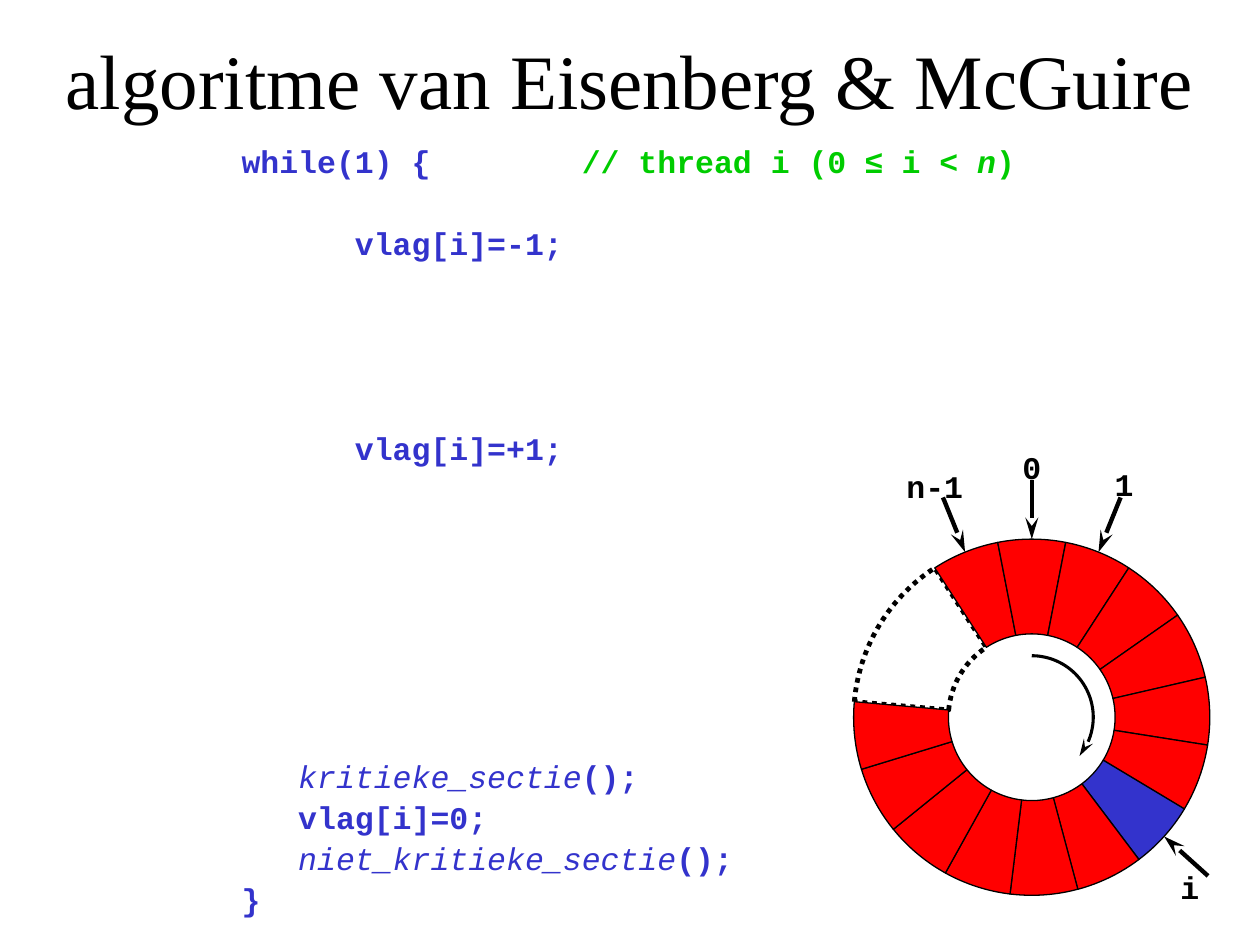
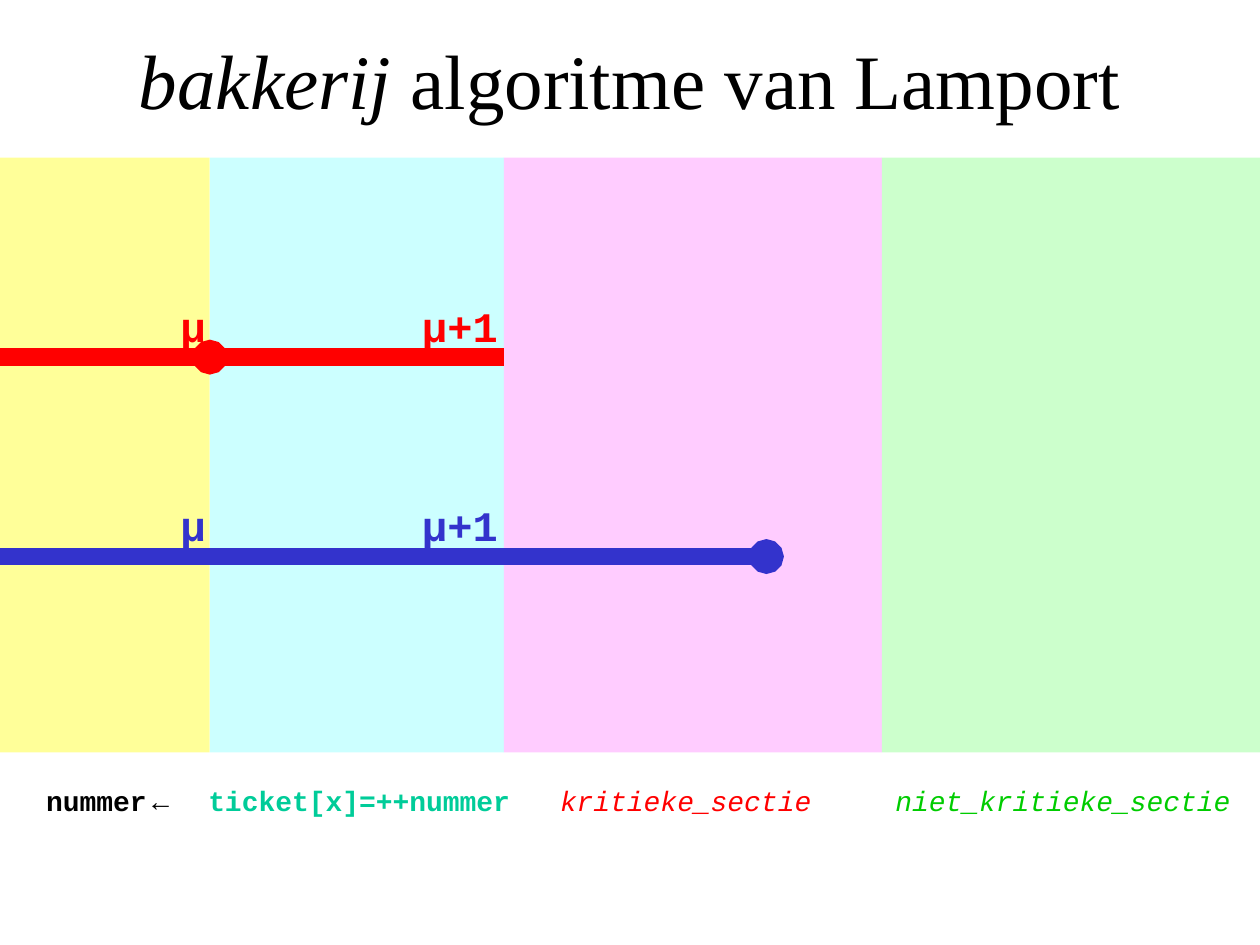
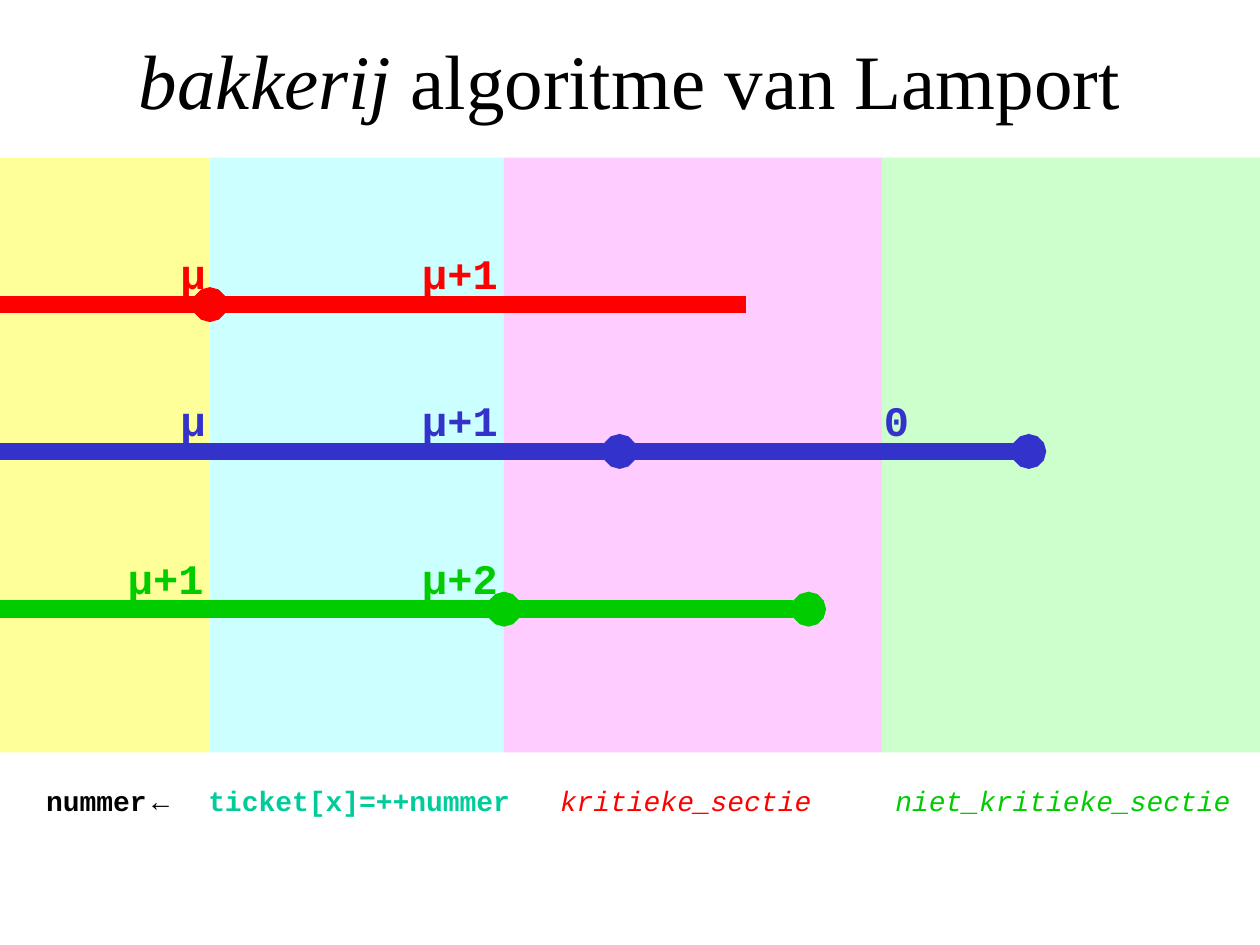
from dataclasses import dataclass
from itertools import pairwise
from math import cos, radians, sin

from lxml.etree import SubElement
from pptx import Presentation
from pptx.dml.color import RGBColor
from pptx.enum.dml import MSO_LINE
from pptx.enum.shapes import MSO_CONNECTOR, MSO_SHAPE
from pptx.enum.text import MSO_ANCHOR, MSO_AUTO_SIZE, PP_ALIGN
from pptx.oxml.ns import qn
from pptx.util import Cm, Pt


@dataclass(frozen=True)
class Theme:
    black: str = "000000"
    blue: str = "3333CC"
    red: str = "FF0000"
    green: str = "00CC00"
    teal: str = "00CC99"
    bands: tuple = ("FFFF99", "CCFFFF", "FFCCFF", "CCFFCC")
    serif: str = "Times New Roman"
    mono: str = "Courier New"
    sans: str = "Arial"
    title_size: float = 44
    track_size: float = 24
    code_size: float = 18
    legend_size: float = 16
    code_gap: float = 1.8
    code_pitch: float = 23.43


THEME = Theme()
BOLD = {"bold": True}
ITALIC = {"bold": False, "italic": True}
ARROW = {"type": "stealth", "w": "med", "len": "lg"}
DOT = {"type": "oval", "w": "sm", "len": "sm"}


# Shared helpers
def apply(target, values):
    for key, value in values.items():
        setattr(target, key, value)


def rgb(colour):
    return RGBColor.from_string(colour)


def write(paragraph, runs, size, font=THEME.mono):
    """Add runs given as (text, colour, font values)."""
    for text, colour, values in runs:
        run = paragraph.add_run()
        run.text = text
        apply(run.font, {"name": font, "size": Pt(size)} | values)
        run.font.color.rgb = rgb(colour)


def add_text(slide, box, insets, **values):
    frame = slide.shapes.add_textbox(*map(Cm, box)).text_frame
    sides = ("margin_left", "margin_top", "margin_right", "margin_bottom")
    apply(frame, dict(zip(sides, map(Cm, insets))) | {"word_wrap": True} | values)
    return frame


def set_line(shape, colour, width, tail=None):
    shape.line.color.rgb = rgb(colour)
    shape.line.width = Pt(width)
    if tail:
        SubElement(shape.element.spPr.find(qn("a:ln")), qn("a:tailEnd"), tail)


def connect(slide, start, end, colour, width, tail=None):
    ends = map(Cm, (*start, *end))
    connector = slide.shapes.add_connector(MSO_CONNECTOR.STRAIGHT, *ends)
    set_line(connector, colour, width, tail)
    SubElement(connector.element.spPr, qn("a:effectLst"))


def titled_slide(deck, box, runs):
    slide = deck.slides.add_slide(deck.slide_layouts[5])
    title = slide.shapes.title
    apply(title, dict(zip(("left", "top", "width", "height"), map(Cm, box))))
    apply(title.text_frame, {"vertical_anchor": MSO_ANCHOR.MIDDLE,
                             "auto_size": MSO_AUTO_SIZE.NONE, "word_wrap": True})
    heading = title.text_frame.paragraphs[0]
    heading.alignment = PP_ALIGN.CENTER
    write(heading, [(text, THEME.black, values) for text, values in runs],
          THEME.title_size, THEME.serif)
    return slide


# Program listing: (skipped lines before, runs)
CODE = [
    (0, [("while(1) {        ", THEME.blue, BOLD),
         ("// thread i (0 ", THEME.green, BOLD),
         ("≤", THEME.green, BOLD | {"name": THEME.sans}),
         (" i < ", THEME.green, BOLD),
         ("n", THEME.green, BOLD | {"italic": True}),
         (")", THEME.green, BOLD)]),
    (1, [("      vlag[i]=-1;", THEME.blue, BOLD)]),
    (4, [("      vlag[i]=+1;", THEME.blue, BOLD)]),
    (7, [("   kritieke_sectie", THEME.blue, ITALIC), ("();", THEME.blue, BOLD)]),
    (0, [("   vlag[i]=0;", THEME.blue, BOLD)]),
    (0, [("   niet_kritieke_sectie", THEME.blue, ITALIC), ("();", THEME.blue, BOLD)]),
    (0, [("}", THEME.blue, BOLD)]),
]


def add_code(slide, box):
    frame = add_text(slide, box, (0.25, 0.12, 0, 0.13))
    for number, (skipped, runs) in enumerate(CODE):
        line = frame.add_paragraph() if number else frame.paragraphs[0]
        if number:
            line.space_before = Pt(THEME.code_gap + skipped * THEME.code_pitch)
        write(line, runs, THEME.code_size)


# Ring of threads; angles run clockwise from the top
SECTOR = 22
OWN_SECTOR = 6
SECTORS = range(-1, 13)
# (label, sector, label angle, label distance beyond the ring)
POINTERS = [("n-1", -1, -22.8, 1.46), ("0", 0, 0, 1.46), ("1", 1, 21.6, 1.46),
            ("i", OWN_SECTOR, 137, 1.08)]


def add_ring(slide, left, top, size):
    radius = size / 2
    arrow_length, turn_radius, hole_radius = 1.19, 1.24, 1.68

    def at(angle, distance):
        turn = radians(angle)
        return (left + radius + distance * sin(turn),
                top + radius - distance * cos(turn))

    def add_sector(start, end):
        sector = slide.shapes.add_shape(
            MSO_SHAPE.BLOCK_ARC, *map(Cm, (left, top, size, size)))
        sector.shadow.inherit = False
        # Preset angles start at the right, in units of 1/60000 degree
        for index, angle in enumerate((start, end)):
            sector.adjustments[index] = (angle - 90) % 360 * 0.6
        sector.adjustments[2] = (radius - hole_radius) / size
        return sector

    # Dotted gap, then the filled sectors
    half = SECTOR / 2
    gap = add_sector(SECTORS[-1] * SECTOR + half, 360 + SECTORS[0] * SECTOR - half)
    gap.fill.background()
    set_line(gap, THEME.black, 2.75)
    gap.line.dash_style = MSO_LINE.ROUND_DOT
    for number in SECTORS:
        sector = add_sector(number * SECTOR - half, number * SECTOR + half)
        sector.fill.solid()
        sector.fill.fore_color.rgb = rgb(
            THEME.blue if number == OWN_SECTOR else THEME.red)
        set_line(sector, THEME.black, 0.75)

    # Direction of rotation
    first, *rest = [tuple(map(Cm, at(angle, turn_radius)))
                    for angle in range(0, 132, 3)]
    outline = slide.shapes.build_freeform(*first)
    outline.add_line_segments(rest, close=False)
    rotation = outline.convert_to_shape()
    rotation.shadow.inherit = False
    rotation.fill.background()
    set_line(rotation, THEME.black, 1.75, ARROW)

    # Numbered pointers
    for label, number, label_angle, distance in POINTERS:
        angle = number * SECTOR
        connect(slide, at(angle, radius + arrow_length), at(angle, radius),
                THEME.black, 2.5, ARROW)
        x, y = at(label_angle, radius + distance)
        width, height = 0.5 + 0.38 * len(label), 1.02
        frame = add_text(slide, (x - width / 2, y - height / 2, width, height),
                         (0, 0, 0, 0), word_wrap=False,
                         vertical_anchor=MSO_ANCHOR.MIDDLE)
        frame.paragraphs[0].alignment = PP_ALIGN.CENTER
        write(frame.paragraphs[0], [(label, THEME.black, BOLD)], THEME.code_size)


def ring_slide(deck):
    slide = titled_slide(deck, (0, 0, 25.4, 3.18),
                         [("algoritme van Eisenberg & McGuire", {})])
    add_code(slide, (4.62, 2.74, 16.13, 15.85))
    add_ring(slide, 17.21, 10.87, 7.18)


# Bakery phases
EDGES = (0, 4.23, 10.16, 17.78, 25.4)
LEGEND = [("nummer", THEME.black, BOLD),
          ("←", THEME.black, BOLD | {"name": THEME.sans}),
          ("\tticket[x]=++nummer", THEME.teal, BOLD),
          ("\tkritieke_sectie", THEME.red, ITALIC),
          ("\tniet_kritieke_sectie", THEME.green, ITALIC)]
LEGEND_TABS = (3.27, 10.36, 17.12)

# Each track: colour, height, (end, has dot) stops, (left, text) labels
TWO_TRACKS = [
    (THEME.red, 4.02, [(EDGES[1], True), (EDGES[2], False)],
     [(3.39, "µ"), (8.26, "µ+1")]),
    (THEME.blue, 8.04, [(EDGES[1], False), (EDGES[2], False), (15.45, True)],
     [(3.39, "µ"), (8.26, "µ+1")]),
]
THREE_TRACKS = [
    (THEME.red, 2.96, [(EDGES[1], True), (EDGES[2], False), (15.03, False)],
     [(3.39, "µ"), (8.26, "µ+1")]),
    (THEME.blue, 5.92,
     [(EDGES[1], False), (EDGES[2], False), (12.49, True), (20.74, True)],
     [(3.39, "µ"), (8.26, "µ+1"), (17.57, "0")]),
    (THEME.green, 9.1, [(EDGES[1], False), (EDGES[2], True), (16.3, True)],
     [(2.33, "µ+1"), (8.26, "µ+2")]),
]


def add_bands(slide, left, top, height):
    for (start, end), colour in zip(pairwise(EDGES), THEME.bands):
        band = slide.shapes.add_shape(
            MSO_SHAPE.RECTANGLE, *map(Cm, (left + start, top, end - start, height)))
        band.shadow.inherit = False
        band.fill.solid()
        band.fill.fore_color.rgb = rgb(colour)
        band.line.fill.background()


def add_track(slide, left, top, track):
    colour, height, stops, labels = track
    y = top + height
    for (start, _), (end, dot) in pairwise([(0, False), *stops]):
        connect(slide, (left + start, y), (left + end, y), colour, 10,
                DOT if dot else None)
    for x, label in labels:
        frame = add_text(slide, (left + x, y - 1.27, 2.12, 1.27),
                         (0.25, 0.13, 0, 0))
        write(frame.paragraphs[0], [(label, colour, BOLD)], THEME.track_size)


def add_legend(slide, box):
    legend = add_text(slide, box, (0.93, 0.12, 0, 0.13)).paragraphs[0]
    tabs = SubElement(legend._p.get_or_add_pPr(), qn("a:tabLst"))
    for position in LEGEND_TABS:
        SubElement(tabs, qn("a:tab"), pos=str(Cm(position)), algn="l")
    write(legend, LEGEND, THEME.legend_size)


def bakery_slide(deck, tracks):
    slide = titled_slide(deck, (1.9, 0, 21.6, 3.18),
                         [("bakkerij", {"italic": True}),
                          (" algoritme van Lamport", {})])
    left, top, height = 0, 3.18, 11.99
    add_bands(slide, left, top, height)
    for track in tracks:
        add_track(slide, left, top, track)
    add_legend(slide, (left, top + height + 0.5, EDGES[-1], 1.6))


def main():
    deck = Presentation()
    apply(deck, {"slide_width": Cm(25.4), "slide_height": Cm(19.05)})
    ring_slide(deck)
    for tracks in (TWO_TRACKS, THREE_TRACKS):
        bakery_slide(deck, tracks)
    deck.save("out.pptx")


if __name__ == "__main__":
    main()
